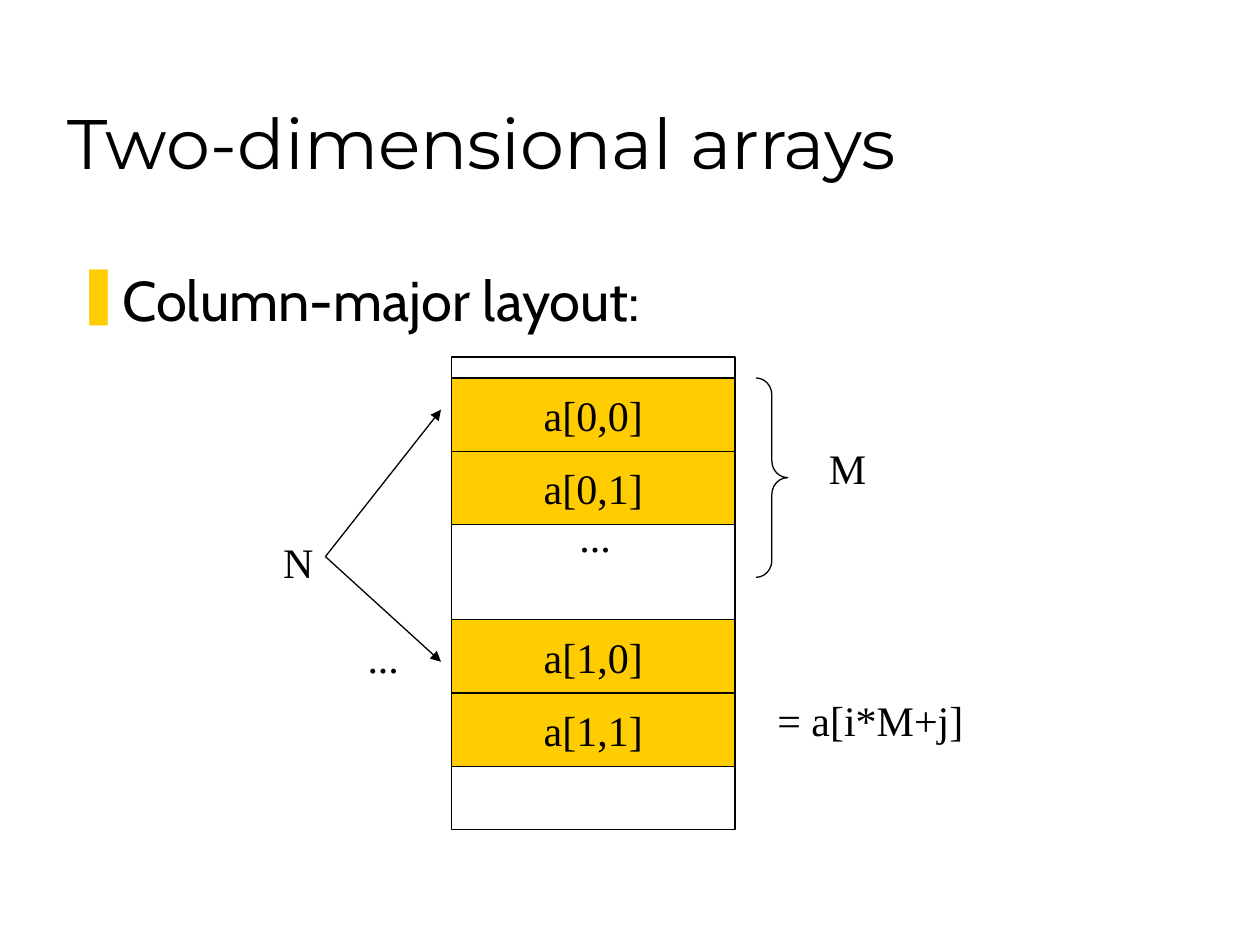
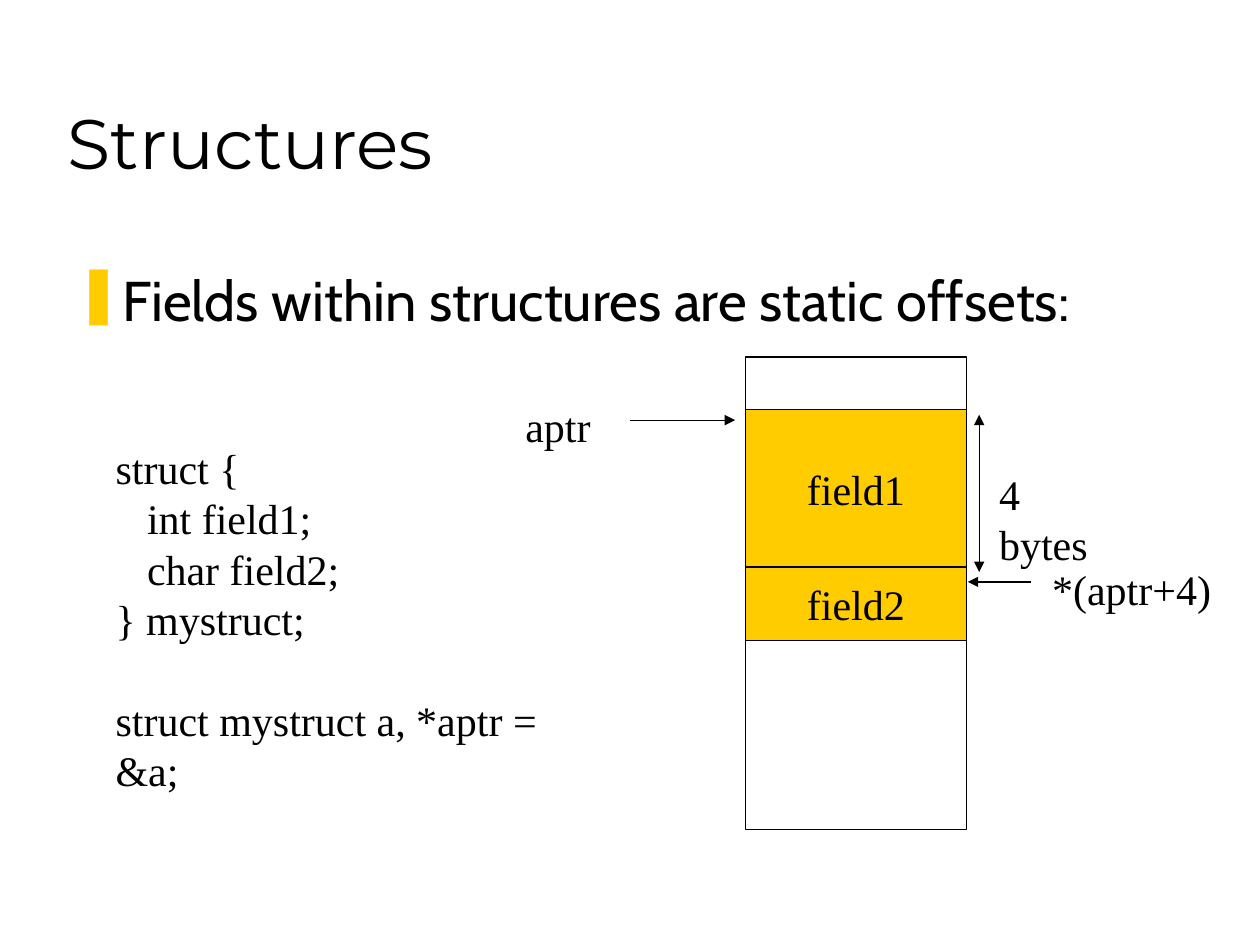
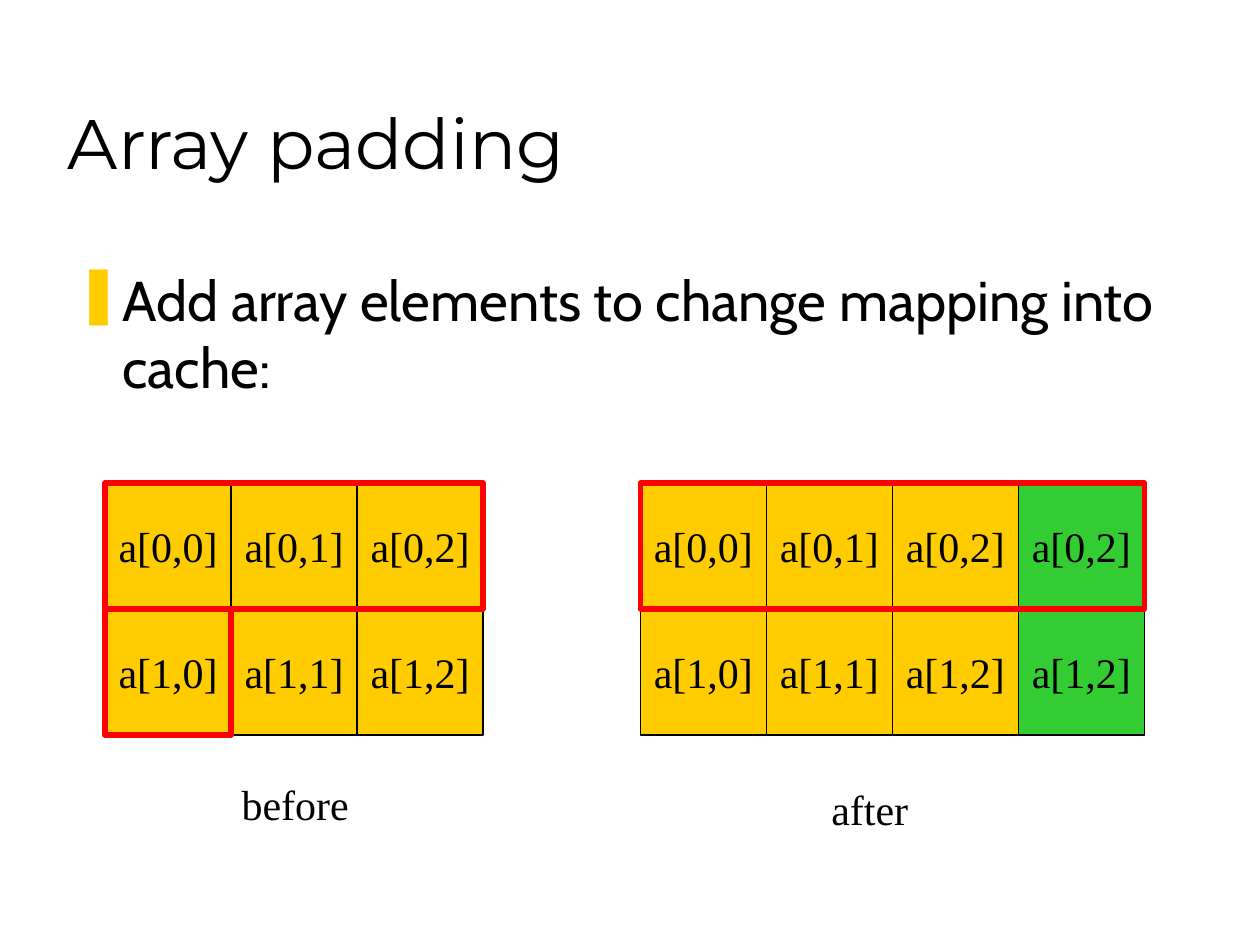
import typing

import lxml.etree
import pptx
import pptx.dml.color
import pptx.enum.shapes
import pptx.enum.text
import pptx.oxml.ns
import pptx.shapes.autoshape
import pptx.slide
import pptx.text.text
import pptx.util

Cm = pptx.util.Cm
Pt = pptx.util.Pt
Kind = pptx.enum.shapes.MSO_SHAPE
Align = pptx.enum.text.PP_ALIGN
Anchor = pptx.enum.text.MSO_ANCHOR
Slide = pptx.slide.Slide
Shape = pptx.shapes.autoshape.Shape

# Shared style
BLACK, GOLD, GREEN, RED = "000000", "FFCC00", "33CC33", "FF0000"
HEAD_FONT, BODY_FONT, NOTE_FONT = "Montserrat", "Cabin", "Times New Roman"
THIN, THICK = 0.75, 3
NOTE_SIZE = 24
CODE_GAP = 28.8
NOTE_TALL = 1.27
INDENT = Cm(0.95)
TOP, TALL = 7.2, 9.53  # memory column
ROW = 1.48


class Box(typing.NamedTuple):
    x: float
    y: float
    w: float
    h: float


class Cell(typing.NamedTuple):
    box: Box
    text: str
    fill: str = GOLD


class Label(typing.NamedTuple):
    x: float
    y: float
    w: float
    text: str


class Arrow(typing.NamedTuple):
    x1: float
    y1: float
    x2: float
    y2: float
    both: bool = False


TITLE_BOX = Box(1.12, 0.64, 21.59, 3.18)


def color(code: str) -> pptx.dml.color.RGBColor:
    return pptx.dml.color.RGBColor.from_string(code)


def place(box: Box) -> list[pptx.util.Length]:
    return [Cm(side) for side in box]


def child(parent: typing.Any, tag: str, **attrs: str) -> typing.Any:
    return lxml.etree.SubElement(parent, pptx.oxml.ns.qn(tag), attrs)


def style(par: pptx.text.text._Paragraph, name: str, size: float) -> None:
    par.font.name = name
    par.font.size = Pt(size)
    par.font.color.rgb = color(BLACK)


def write(slide: Slide, box: Box, text: str, name: str, size: float,
          wrap: bool = True) -> pptx.text.text.TextFrame:
    frame = slide.shapes.add_textbox(*place(box)).text_frame
    frame.word_wrap = wrap
    frame.text = text
    for par in frame.paragraphs:
        style(par, name, size)
    return frame


def add_label(slide: Slide, label: Label) -> None:
    box = Box(label.x, label.y, label.w, NOTE_TALL)
    frame = write(slide, box, label.text, NOTE_FONT, NOTE_SIZE, wrap=False)
    frame.auto_size = pptx.enum.text.MSO_AUTO_SIZE.SHAPE_TO_FIT_TEXT


def add_shape(slide: Slide, box: Box, kind: Kind = Kind.RECTANGLE,
              line: str = BLACK, width: float = THIN) -> Shape:
    """Draw an unfilled outline."""
    shape = slide.shapes.add_shape(kind, *place(box))
    shape.shadow.inherit = False
    shape.fill.background()
    shape.line.color.rgb = color(line)
    shape.line.width = Pt(width)
    return shape


def add_cell(slide: Slide, cell: Cell) -> None:
    shape = add_shape(slide, cell.box)
    shape.fill.solid()
    shape.fill.fore_color.rgb = color(cell.fill)
    frame = shape.text_frame
    frame.word_wrap = False
    frame.vertical_anchor = Anchor.MIDDLE
    frame.text = cell.text
    par = frame.paragraphs[0]
    par.alignment = Align.CENTER
    style(par, NOTE_FONT, NOTE_SIZE)


def add_arrow(slide: Slide, arrow: Arrow) -> None:
    ends = [Cm(side) for side in arrow[:4]]
    link = slide.shapes.add_connector(
        pptx.enum.shapes.MSO_CONNECTOR.STRAIGHT, *ends)
    link.line.color.rgb = color(BLACK)
    link.line.width = Pt(THIN)
    stroke = link.line._get_or_add_ln()
    if arrow.both:
        child(stroke, "a:headEnd", type="triangle")
    child(stroke, "a:tailEnd", type="triangle")
    child(link._element.spPr, "a:effectLst")


def start(deck: typing.Any, title: str, point: str, tall: float) -> Slide:
    """Add a slide with its title and its one bullet point."""
    slide = deck.slides.add_slide(deck.slide_layouts[6])
    frame = write(slide, TITLE_BOX, title, HEAD_FONT, 40)
    frame.vertical_anchor = Anchor.BOTTOM

    box = Box(1.27, 5.23, 22.71, tall)
    frame = slide.shapes.add_textbox(*place(box)).text_frame
    frame.word_wrap = True
    frame.text = point
    par = frame.paragraphs[0]
    props = par._p.get_or_add_pPr()
    props.set("marL", str(INDENT))
    props.set("indent", str(-INDENT))
    child(child(props, "a:buClr"), "a:srgbClr", val=GOLD)
    child(props, "a:buChar", char="❚")
    style(par, BODY_FONT, 32)
    return slide


def add_layout(deck: typing.Any) -> None:
    slide = start(deck, "Two-dimensional arrays", "Column-major layout:", 2.16)
    left, wide = 9.1, 5.72
    for i, top in enumerate((7.62, 12.49)):
        for j in range(2):
            box = Box(left, top + j * ROW, wide, ROW)
            add_cell(slide, Cell(box, f"a[{i},{j}]"))
    add_shape(slide, Box(left, TOP, wide, TALL))

    brace = add_shape(slide, Box(15.24, 7.62, 0.64, 4.02), Kind.RIGHT_BRACE)
    brace.adjustments[0] = 0.53
    for end in (8.26, 13.34):
        add_arrow(slide, Arrow(6.56, 11.22, 8.89, end))
    for label in (
        Label(15.42, 13.87, 4.27, "= a[i*M+j]"),
        Label(11.43, 10.16, 1.14, "..."),
        Label(16.46, 8.79, 1.27, "M"),
        Label(7.16, 12.6, 1.14, "..."),
        Label(5.46, 10.69, 1.12, "N"),
    ):
        add_label(slide, label)


def add_struct(deck: typing.Any) -> None:
    slide = start(deck, "Structures",
                  "Fields within structures are static offsets:", 1.75)
    left, wide = 15.03, 4.45
    add_cell(slide, Cell(Box(left, 8.26, wide, 3.17), "field1"))
    add_cell(slide, Cell(Box(left, 11.43, wide, ROW), "field2"))
    add_shape(slide, Box(left, TOP, wide, TALL))

    code = "\n".join((
        "struct {",
        "   int field1;",
        "   char field2;",
        "} mystruct;",
        "struct mystruct a, *aptr = &a;",
    ))
    frame = write(slide, Box(2.08, 8.79, 10.2, 7.37), code,
                  NOTE_FONT, NOTE_SIZE)
    frame.paragraphs[-1].space_before = Pt(CODE_GAP)

    for arrow in (
        Arrow(12.7, 8.47, 14.82, 8.47),
        Arrow(19.74, 8.36, 19.74, 11.53, both=True),
        Arrow(20.78, 11.73, 19.51, 11.73),
    ):
        add_arrow(slide, arrow)
    for label in (
        Label(10.34, 7.95, 1.83, "aptr"),
        Label(19.89, 9.32, 2.92, "4 bytes"),
        Label(20.96, 11.23, 3.71, "*(aptr+4)"),
    ):
        add_label(slide, label)


def add_padding(deck: typing.Any) -> None:
    slide = start(deck, "Array padding",
                  "Add array elements to change mapping into cache:", 3.23)
    side, top, old, new = 2.54, 9.74, 2.12, 12.91
    # The padding column repeats the last index
    for left, cols in ((old, (0, 1, 2)), (new, (0, 1, 2, 2))):
        for i in range(2):
            for n, j in enumerate(cols):
                box = Box(left + n * side, top + i * side, side, side)
                fill = GREEN if n == 3 else GOLD
                add_cell(slide, Cell(box, f"a[{i},{j}]", fill))

    # Cache lines: left edge, row, cells covered
    for left, row, count in ((old, 0, 3), (old, 1, 1), (new, 0, 4)):
        box = Box(left, top + row * side, count * side, side)
        add_shape(slide, box, line=RED, width=THICK)
    add_label(slide, Label(4.62, 15.57, 2.67, "before"))
    add_label(slide, Label(16.51, 15.67, 2.06, "after"))


def main() -> None:
    deck = pptx.Presentation()
    deck.slide_width, deck.slide_height = Cm(25.4), Cm(19.05)
    add_layout(deck)
    add_struct(deck)
    add_padding(deck)
    deck.save("out.pptx")


if __name__ == "__main__":
    main()
